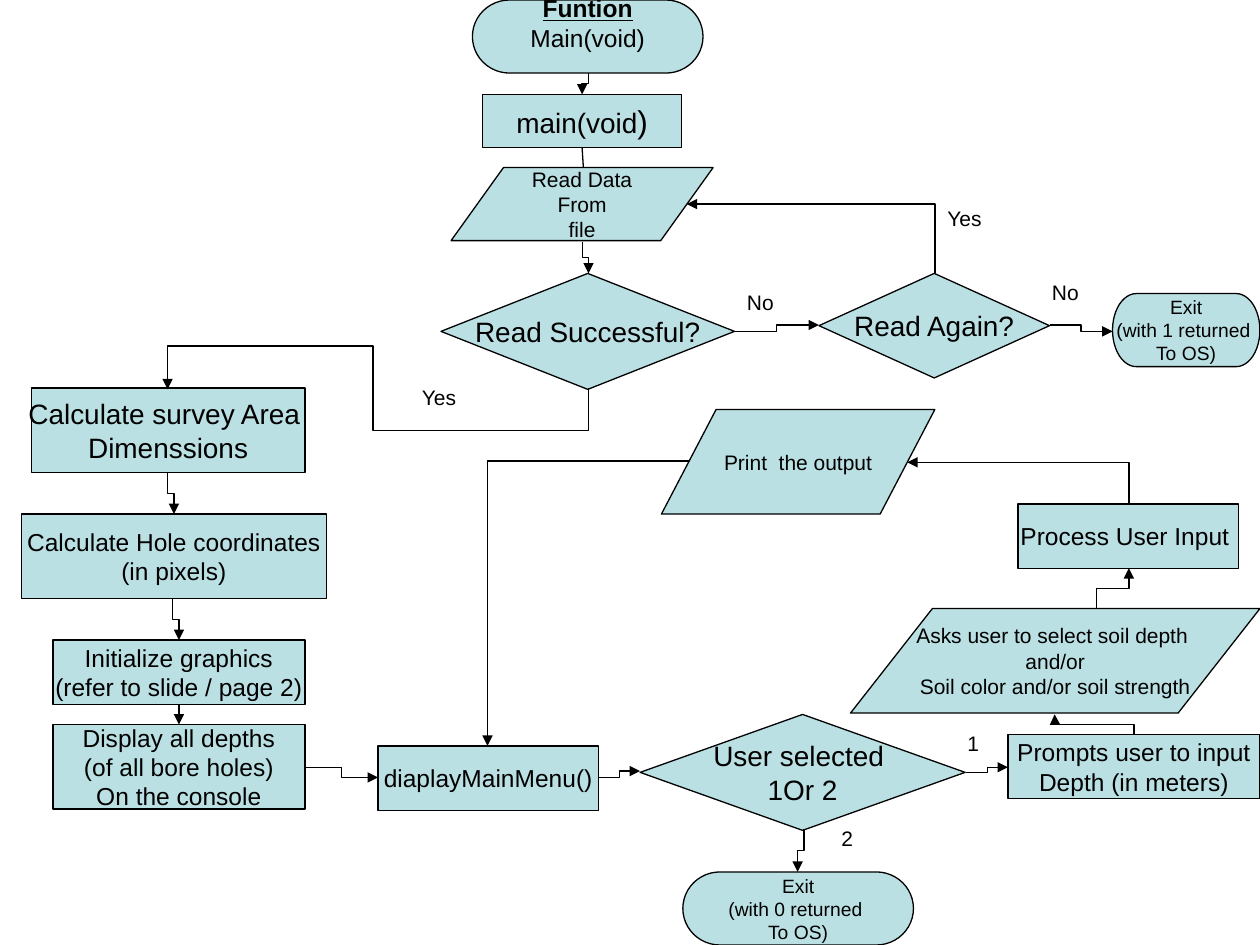
import pptx
import pptx.dml.color
import pptx.enum.shapes
import pptx.enum.text
import pptx.oxml.ns
import pptx.util
from lxml import etree
from pptx.util import Inches

BLACK = pptx.dml.color.RGBColor(0x00, 0x00, 0x00)
PALE_TEAL = pptx.dml.color.RGBColor(0xBB, 0xE0, 0xE3)
qn = pptx.oxml.ns.qn

presentation = pptx.Presentation()
presentation.slide_width = Inches(10)
presentation.slide_height = Inches(7.5)
slide = presentation.slides.add_slide(presentation.slide_layouts[6])


def add_run(paragraph, text, size):
    run = paragraph.add_run()
    run.text = text
    run.font.name = "Arial"
    run.font.size = pptx.util.Pt(size)
    run.font.color.rgb = BLACK
    return run


def add_arrow(start, end, down_first=False, preset="bentConnector3", adjustments=(), head=True):
    (x1, y1), (x2, y2) = start, end
    arrow = slide.shapes.add_connector(
        pptx.enum.shapes.MSO_CONNECTOR.ELBOW, Inches(x1), Inches(y1), Inches(x2), Inches(y2)
    )
    properties = arrow._element.spPr
    geometry = properties.find(qn("a:prstGeom"))
    geometry.set("prst", preset)
    guides = geometry.find(qn("a:avLst"))
    for number, value in enumerate(adjustments, 1):
        etree.SubElement(guides, qn("a:gd"), name=f"adj{number}", fmla=f"val {value}")
    if down_first:
        width, height = abs(y2 - y1), abs(x2 - x1)
        arrow.left = Inches((x1 + x2 - width) / 2)
        arrow.top = Inches((y1 + y2 - height) / 2)
        arrow.width, arrow.height = Inches(width), Inches(height)
        goes_down, goes_right = y2 > y1, x2 > x1
        transform = properties.find(qn("a:xfrm"))
        transform.set("rot", "16200000" if goes_down == goes_right else "5400000")
        transform.set("flipH", str(int(goes_right)))
        transform.set("flipV", str(int(not goes_down)))
    arrow.line.color.rgb = BLACK
    arrow.line.width = pptx.util.Pt(0.75)
    if head:
        etree.SubElement(properties.find(qn("a:ln")), qn("a:tailEnd"), type="triangle")
    etree.SubElement(properties, qn("a:effectLst"))


PROCESS = pptx.enum.shapes.MSO_SHAPE.FLOWCHART_PROCESS
DECISION = pptx.enum.shapes.MSO_SHAPE.FLOWCHART_DECISION
TERMINATOR = pptx.enum.shapes.MSO_SHAPE.FLOWCHART_TERMINATOR
DATA = pptx.enum.shapes.MSO_SHAPE.FLOWCHART_DATA

steps = [
    (TERMINATOR, 3.75, 0, 1.83, 0.58, 14, ["Funtion", "Main(void)"]),
    (PROCESS, 3.83, 0.75, 1.58, 0.42, 16, ["main(void"]),
    (DATA, 3.58, 1.33, 2.08, 0.58, 12, ["Read Data", "From", "file"]),
    (DECISION, 3.5, 2.17, 2.33, 0.92, 16, ["Read Successful?"]),
    (DECISION, 6.5, 2.17, 1.83, 0.83, 16, ["Read Again?"]),
    (TERMINATOR, 8.83, 2.33, 1.17, 0.58, 11, ["Exit", "(with 1 returned ", "To OS)"]),
    (PROCESS, 0.25, 3.08, 2.17, 0.67, 16, ["Calculate survey Area ", "Dimenssions"]),
    (PROCESS, 0.17, 4.08, 2.42, 0.67, 14, ["Calculate Hole coordinates", "(in pixels)"]),
    (PROCESS, 0.42, 5.08, 2, 0.51, 14, ["Initialize graphics", "(refer to slide / page 2)"]),
    (PROCESS, 0.42, 5.75, 2, 0.67, 14, ["Display all depths", "(of all bore holes)", "On the console"]),
    (PROCESS, 3, 5.92, 1.75, 0.51, 14, ["diaplayMainMenu()"]),
    (DECISION, 5.08, 5.67, 2.58, 0.92, 16, ["User selected ", "1Or 2"]),
    (TERMINATOR, 5.42, 6.92, 1.83, 0.58, 11, ["Exit", "(with 0 returned ", "To OS)"]),
    (PROCESS, 8, 5.83, 2, 0.51, 14, ["Prompts user to input", "Depth (in meters)"]),
    (DATA, 6.75, 4.83, 3.25, 0.83, 12,
     ["Asks user to select soil depth ", "and/or", "Soil color and/or soil strength"]),
    (PROCESS, 8.08, 4, 1.75, 0.51, 14, ["Process User Input "]),
    (DATA, 5.25, 3.25, 2.17, 0.83, 12, ["Print  the output"]),
]
for outline, left, top, width, height, size, lines in steps:
    step = slide.shapes.add_shape(outline, Inches(left), Inches(top), Inches(width), Inches(height))
    step.shadow.inherit = False
    step.fill.solid()
    step.fill.fore_color.rgb = PALE_TEAL
    step.line.color.rgb = BLACK
    step.line.width = pptx.util.Pt(0.75)
    frame = step.text_frame
    frame.word_wrap = False
    frame.vertical_anchor = pptx.enum.text.MSO_ANCHOR.MIDDLE
    for number, line in enumerate(lines):
        paragraph = frame.add_paragraph() if number else frame.paragraphs[0]
        paragraph.alignment = pptx.enum.text.PP_ALIGN.CENTER
        run = add_run(paragraph, line, size)
        if line == "Funtion":
            run.font.bold = True
            run.font.underline = True
            frame.margin_bottom = Inches(0.27)
        elif line == "main(void":
            add_run(paragraph, ")", 18)

answers = [
    ("Yes", 7.42, 1.58, 0.58),
    ("No", 8.25, 2.17, 0.58),
    ("Yes", 3.25, 3, 0.58),
    ("No", 5.83, 2.25, 0.58),
    ("1", 7.58, 5.75, 0.33),
    ("2", 6.58, 6.5, 0.33),
]
for text, left, top, width in answers:
    answer = slide.shapes.add_textbox(Inches(left), Inches(top), Inches(width), Inches(0.3))
    answer.text_frame.word_wrap = True
    paragraph = answer.text_frame.paragraphs[0]
    paragraph.space_before = pptx.util.Pt(7.5)
    add_run(paragraph, text, 12)

sideways_arrows = [
    ((5.83, 2.63), (6.5, 2.58)),
    ((8.33, 2.58), (8.83, 2.63)),
    ((2.42, 6.09), (3, 6.17)),
    ((4.75, 6.17), (5.08, 6.12)),
    ((7.67, 6.13), (8, 6.09)),
]
for start, end in sideways_arrows:
    add_arrow(start, end)

vertical_arrows = [
    ((4.67, 0.58), (4.62, 0.75)),
    ((4.62, 1.92), (4.67, 2.17)),
    ((1.33, 3.75), (1.38, 4.08)),
    ((1.37, 4.75), (1.42, 5.08)),
    ((6.38, 6.58), (6.33, 6.92)),
    ((9, 5.83), (8.37, 5.67)),
    ((8.7, 4.83), (8.96, 4.51)),
]
for start, end in vertical_arrows:
    add_arrow(start, end, down_first=True)

add_arrow((7.42, 2.17), (5.45, 1.62), down_first=True, preset="bentConnector2")
add_arrow((8.96, 4), (7.2, 3.67), down_first=True, preset="bentConnector2")
add_arrow((5.47, 3.66), (3.87, 5.92), preset="bentConnector2")
add_arrow((4.67, 3.08), (1.33, 3.09), down_first=True, preset="bentConnector5",
          adjustments=(3400000, 51200, -3400000))
add_arrow((1.42, 5.59), (1.42, 5.75), preset="line")
add_arrow((4.62, 1.17), (4.63, 1.33), preset="line", head=False)

presentation.save("out.pptx")
